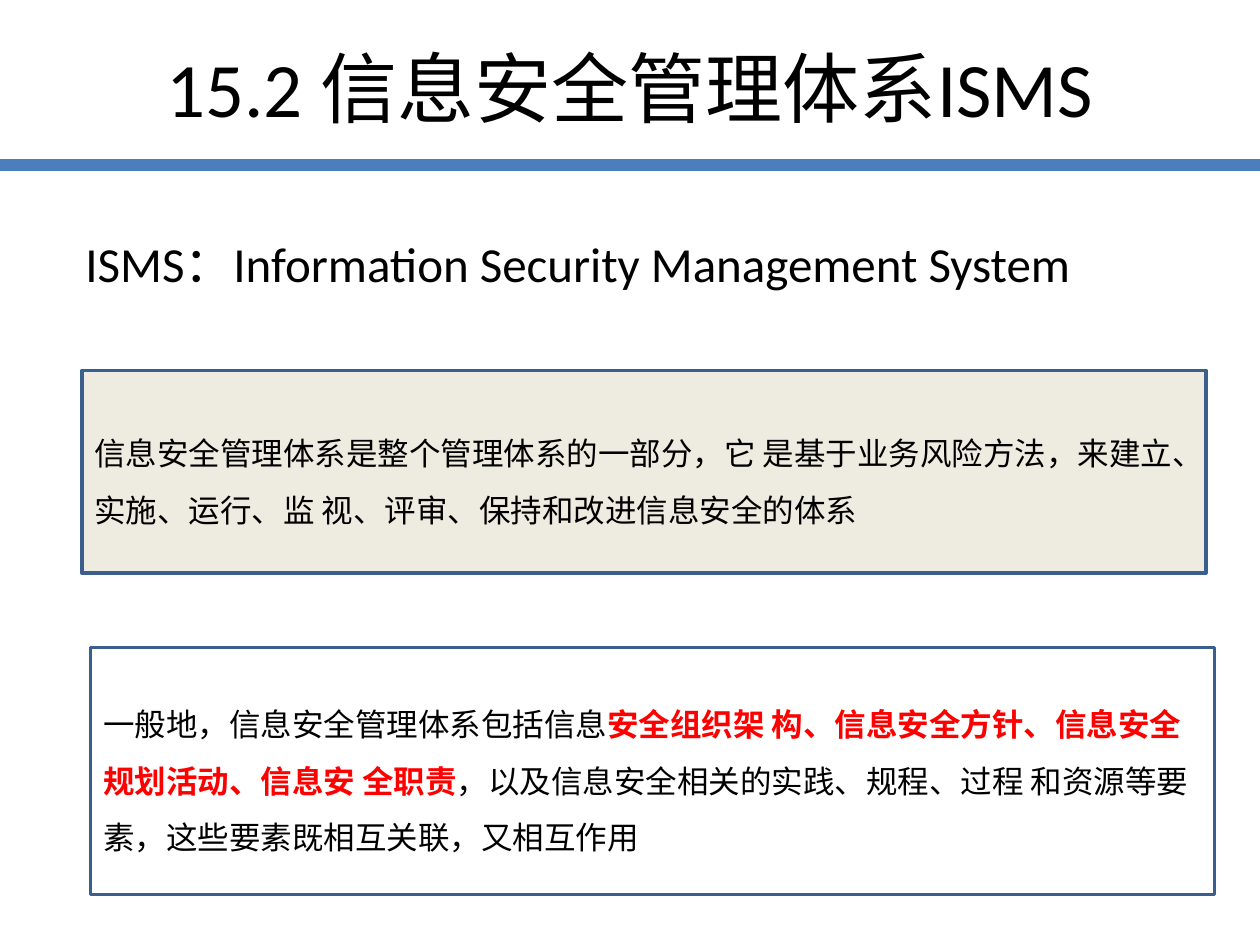
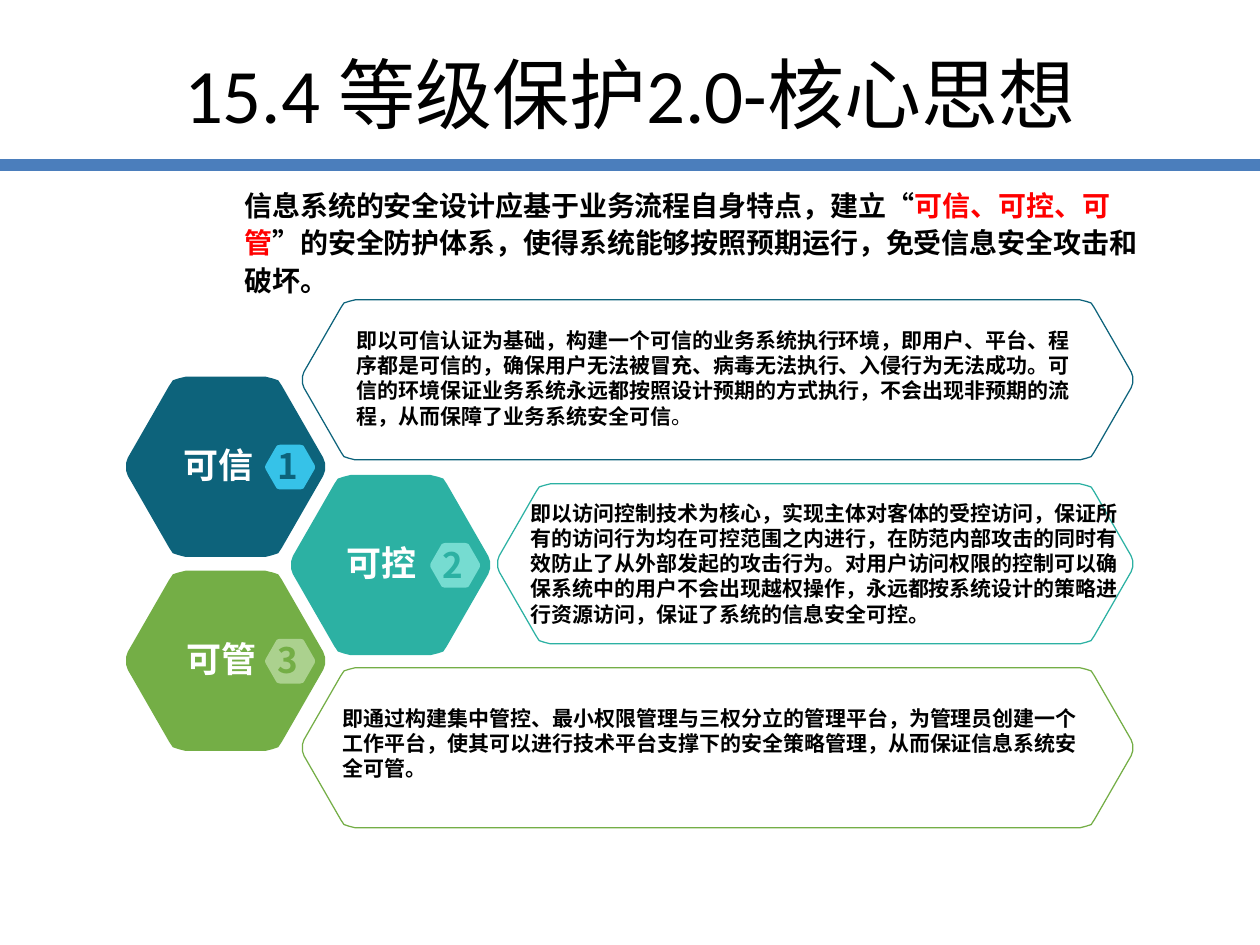
from pptx import Presentation
from pptx.dml.color import RGBColor
from pptx.enum.shapes import MSO_CONNECTOR as Connector, MSO_SHAPE as Shape
from pptx.enum.text import MSO_ANCHOR as Anchor, MSO_AUTO_SIZE as AutoSize, PP_ALIGN as Align
from pptx.util import Inches, Pt
from lxml.etree import SubElement
from pptx.oxml.ns import qn

BLACK, RED, WHITE = "000000", "FF0000", "FFFFFF"
BAND, FRAME, CREAM = "4B7EBC", "3A5F8C", "EEECE1"
LATIN, PANEL_FONT, CHINESE = "Calibri", "Arial", "Noto Sans CJK SC"

deck = Presentation()
deck.slide_width, deck.slide_height = Inches(10), Inches(7.5)
cell = deck.slide_width // 100
title_only = deck.slide_layouts[5]


def grid(*counts):
    return [round(count * cell) for count in counts]


def write(box, spans, size, font, leading=1.2, align=Align.LEFT, anchor=Anchor.TOP, inset=0):
    frame = box.text_frame
    frame.word_wrap = True
    frame.auto_size = AutoSize.NONE
    frame.vertical_anchor = anchor
    frame.margin_left = frame.margin_right = Inches(inset)
    frame.margin_top = frame.margin_bottom = Inches(inset / 2)
    para = frame.paragraphs[0]
    para.alignment = align
    para.line_spacing = Pt(round(size * leading, 1))
    for text, color, bold in spans:
        span = para.add_run()
        span.text = text
        span.font.size = Pt(size)
        span.font.name = font
        span.font.bold = bold
        span.font.color.rgb = RGBColor.from_string(color)
        SubElement(span.font._element, qn("a:ea"), typeface=CHINESE)


pages = []
for heading, top in [("15.2 信息安全管理体系ISMS", 3), ("15.4 等级保护2.0-核心思想", 3.5)]:
    page = deck.slides.add_slide(title_only)
    title = page.shapes.title
    title.left, title.top, title.width, title.height = grid(5, top, 90, 7.7)
    write(title, [(heading, BLACK, False)], 44, LATIN, align=Align.CENTER,
          anchor=Anchor.MIDDLE, inset=0.1)
    pages.append(page)
system_page, ideas_page = pages

band = system_page.shapes.add_connector(Connector.STRAIGHT, *grid(0, 13.1, 100, 13.1))
band.line.color.rgb = RGBColor.from_string(BAND)
band.line.width = Pt(7)
SubElement(band.element.spPr, qn("a:effectLst"))
title_only.shapes.element.append(band.element)

full_name = system_page.shapes.add_textbox(*grid(5.8, 16.6, 90, 8.6))
write(full_name, [("ISMS：Information Security Management System", BLACK, False)], 28, LATIN,
      anchor=Anchor.MIDDLE, inset=0.1)

statements = [
    ((6.5, 29.4, 89.2, 16.1), CREAM, [
        ("信息安全管理体系是整个管理体系的一部分，它 是基于业务风险方法，来建立、实施、运行、"
         "监 视、评审、保持和改进信息安全的体系", BLACK, False)]),
    ((7.2, 51.4, 89.2, 19.6), WHITE, [
        ("一般地，信息安全管理体系包括信息", BLACK, False),
        ("安全组织架 构、信息安全方针、信息安全规划活动、信息安 全职责", RED, True),
        ("，以及信息安全相关的实践、规程、过程 和资源等要素，这些要素既相互关联，又相互作用",
         BLACK, False)]),
]
for area, fill, spans in statements:
    box = system_page.shapes.add_shape(Shape.RECTANGLE, *grid(*area))
    box.shadow.inherit = False
    box.fill.solid()
    box.fill.fore_color.rgb = RGBColor.from_string(fill)
    box.line.color.rgb = RGBColor.from_string(FRAME)
    box.line.width = Pt(2)
    write(box, spans, 18, LATIN, leading=1.8, anchor=Anchor.MIDDLE, inset=0.1)

intro = ideas_page.shapes.add_textbox(*grid(19.4, 14.6, 72.1, 6.3))
write(intro, [
    ("信息系统的安全设计应基于业务流程自身特点，建立“", BLACK, True),
    ("可信、可控、可管", RED, True),
    ("”的安全防护体系，使得系统能够按照预期运行，免受信息安全攻击和破坏。", BLACK, True),
], 16, CHINESE, leading=1.35)

corner = [(0.33, 0), (0.29, 0.01), (0.26, 0.02), (0.24, 0.05), (0.01, 0.45), (0, 0.48)]
ideas = [
    ("可信", "0D637B", "36C2E8", (10, 29.9), (24, 23.8), 4.6, (28.3, 26, 58, 10.6), [
        ("即以可信认证为基础，构建一个可信的业务系统执行环境，即用户、平台、程序都是可信的，"
         "确保用户无法被冒充、病毒无法执行、入侵行为无法成功。可信的环境保证业务系统永远都"
         "按照设计预期的方式执行，不会出现非预期的流程，从而保障了业务系统安全可信", BLACK, True),
        ("。", BLACK, False)]),
    ("可控", "2CB1A3", "76DCD1", (23.1, 37.7), (39.5, 38.4), 4.4, (42.1, 39.7, 46.8, 10.2), [
        ("即以访问控制技术为核心，实现主体对客体的受控访问，保证所有的访问行为均在可控范围"
         "之内进行，在防范内部攻击的同时有效防止了从外部发起的攻击行为。对用户访问权限的控制"
         "可以确保系统中的用户不会出现越权操作，永远都按系统设计的策略进行资源访问，"
         "保证了系统的信息安全可控。", BLACK, True)]),
    ("可管", "74AE46", "ABD18E", (10, 45.3), (24, 53), 4.8, (27.2, 56, 59, 7.1), [
        ("即通过构建集中管控、最小权限管理与三权分立的管理平台，为管理员创建一个工作平台，"
         "使其可以进行技术平台支撑下的安全策略管理，从而保证信息系统安全可管。", BLACK, True)]),
]
for number, (name, dark, light, tile, panel, indent, text_area, spans) in enumerate(ideas, 1):
    tile_left, tile_top = tile
    panel_left, panel_top = panel
    badge_left, badge_top = tile_left + 11.05, tile_top + 5.4
    hexagons = [
        (tile_left, tile_top, 15.8, 14.3, dark, None),
        (panel_left, panel_top, 89.9 - panel_left, 12.7, None, dark),
        (badge_left, badge_top, 3.95, 3.55, light, None),
    ]
    for left, top, width, height, fill, outline in hexagons:
        upper_left = [(x * height, y * height) for x, y in corner]
        left_side = upper_left + [(x, height - y) for x, y in reversed(upper_left)]
        ring = left_side + [(width - x, y) for x, y in reversed(left_side)]
        points = [grid(left + x, top + y) for x, y in ring]
        builder = ideas_page.shapes.build_freeform(*points[0])
        builder.add_line_segments(points[1:], close=True)
        hexagon = builder.convert_to_shape()
        hexagon.shadow.inherit = False
        if fill:
            hexagon.fill.solid()
            hexagon.fill.fore_color.rgb = RGBColor.from_string(fill)
            hexagon.line.fill.background()
        else:
            hexagon.fill.background()
            hexagon.line.color.rgb = RGBColor.from_string(outline)
            hexagon.line.width = Pt(0.72)
    labels = [
        ((tile_left + indent, tile_top + 5.3, 5.8, 3.6), [(name, WHITE, True)], 20, CHINESE),
        ((badge_left + 1, badge_top, 2, 3.5), [(str(number), dark, True)], 20, CHINESE),
        (text_area, spans, 12, PANEL_FONT),
    ]
    for area, label_spans, size, font in labels:
        write(ideas_page.shapes.add_textbox(*grid(*area)), label_spans, size, font)

deck.save("out.pptx")
